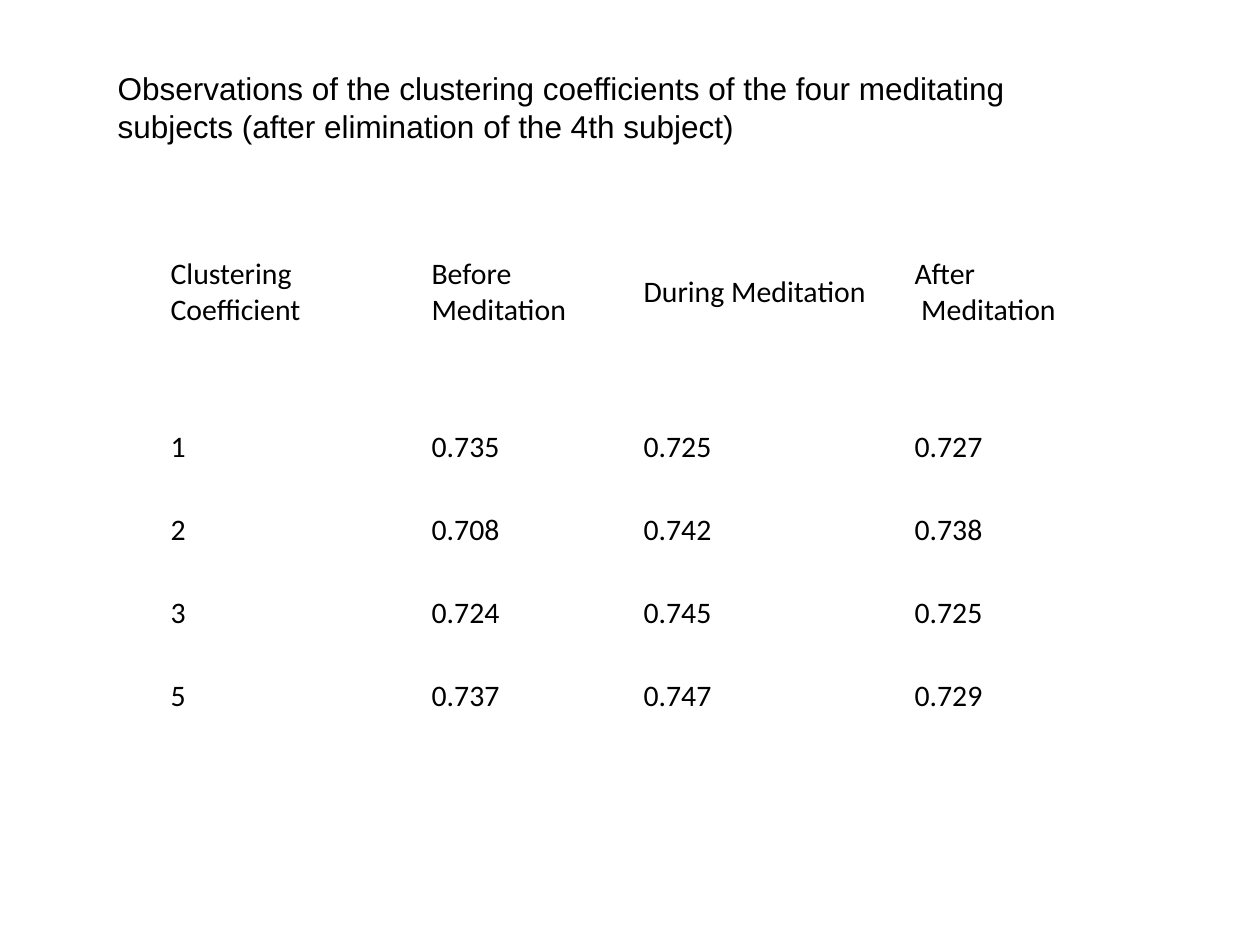
import pptx
import pptx.util
import pptx.dml.color
import pptx.enum.text

EMU_PER_PX = 914400 / 126
BLACK = pptx.dml.color.RGBColor(0x00, 0x00, 0x00)

TITLE = "Observations of the clustering coefficients of the four meditating subjects (after elimination of the 4th subject)"
COLUMN_WIDTHS = [261, 212, 271, 264]
HEADER_HEIGHT = 227
ROW_HEIGHT = 83
ROWS = [
    ["Clustering \nCoefficient ", "Before \nMeditation ", "During Meditation ", "After\n Meditation"],
    ["1", "0.735", "0.725", "0.727"],
    ["2", "0.708", "0.742", "0.738"],
    ["3", "0.724", "0.745", "0.725"],
    ["5", "0.737", "0.747", "0.729"],
]


def px(length):
    return pptx.util.Emu(round(length * EMU_PER_PX))


def write_text(frame, text, *, font, size, color=BLACK):
    frame.text = text
    for para in frame.paragraphs:
        para.alignment = pptx.enum.text.PP_ALIGN.LEFT
        for span in para.runs:
            span.font.name = font
            span.font.size = pptx.util.Pt(size)
            span.font.bold = False
            span.font.color.rgb = color


def place_title(page, left, top, width, height):
    title = page.shapes.title
    title.left, title.top = px(left), px(top)
    title.width, title.height = px(width), px(height)
    frame = title.text_frame
    frame.word_wrap = True
    frame.auto_size = pptx.enum.text.MSO_AUTO_SIZE.NONE
    frame.vertical_anchor = pptx.enum.text.MSO_ANCHOR.TOP
    write_text(frame, TITLE, font="Arial", size=18)


def place_coefficients(page, left, top):
    heights = [HEADER_HEIGHT] + [ROW_HEIGHT] * (len(ROWS) - 1)
    holder = page.shapes.add_table(
        len(ROWS), len(COLUMN_WIDTHS),
        px(left), px(top), px(sum(COLUMN_WIDTHS)), px(sum(heights)),
    )
    table = holder.table
    table.first_row = False
    table.horz_banding = False
    for column, width in zip(table.columns, COLUMN_WIDTHS):
        column.width = px(width)
    for row, height, texts in zip(table.rows, heights, ROWS):
        row.height = px(height)
        for cell, text in zip(row.cells, texts):
            cell.fill.background()
            cell.vertical_anchor = pptx.enum.text.MSO_ANCHOR.MIDDLE
            write_text(cell.text_frame, text, font="Calibri", size=17)


def main():
    deck = pptx.Presentation()
    deck.slide_width, deck.slide_height = px(1260), px(945)
    page = deck.slides.add_slide(deck.slide_layouts.get_by_name("Title Only"))
    place_title(page, 105, 63, 1029, 127)
    place_coefficients(page, 158, 179)
    deck.save("out.pptx")


if __name__ == "__main__":
    main()
